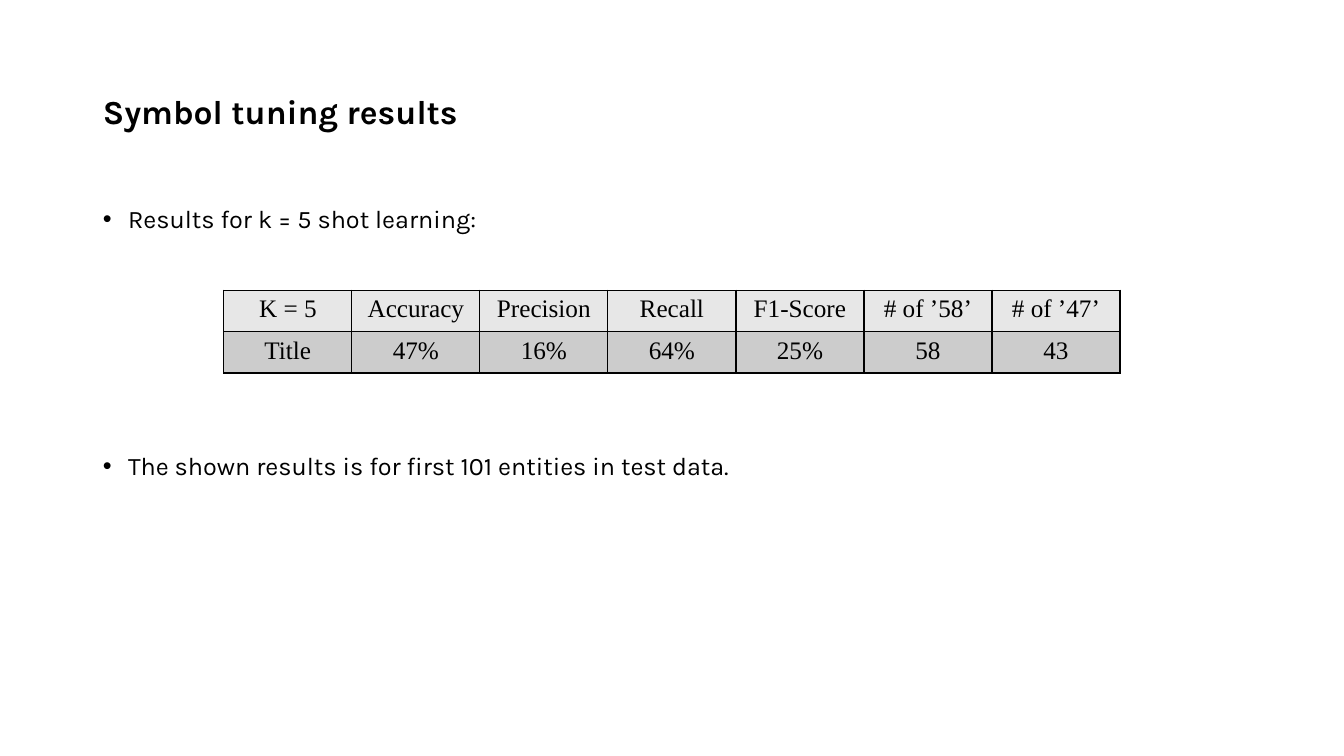
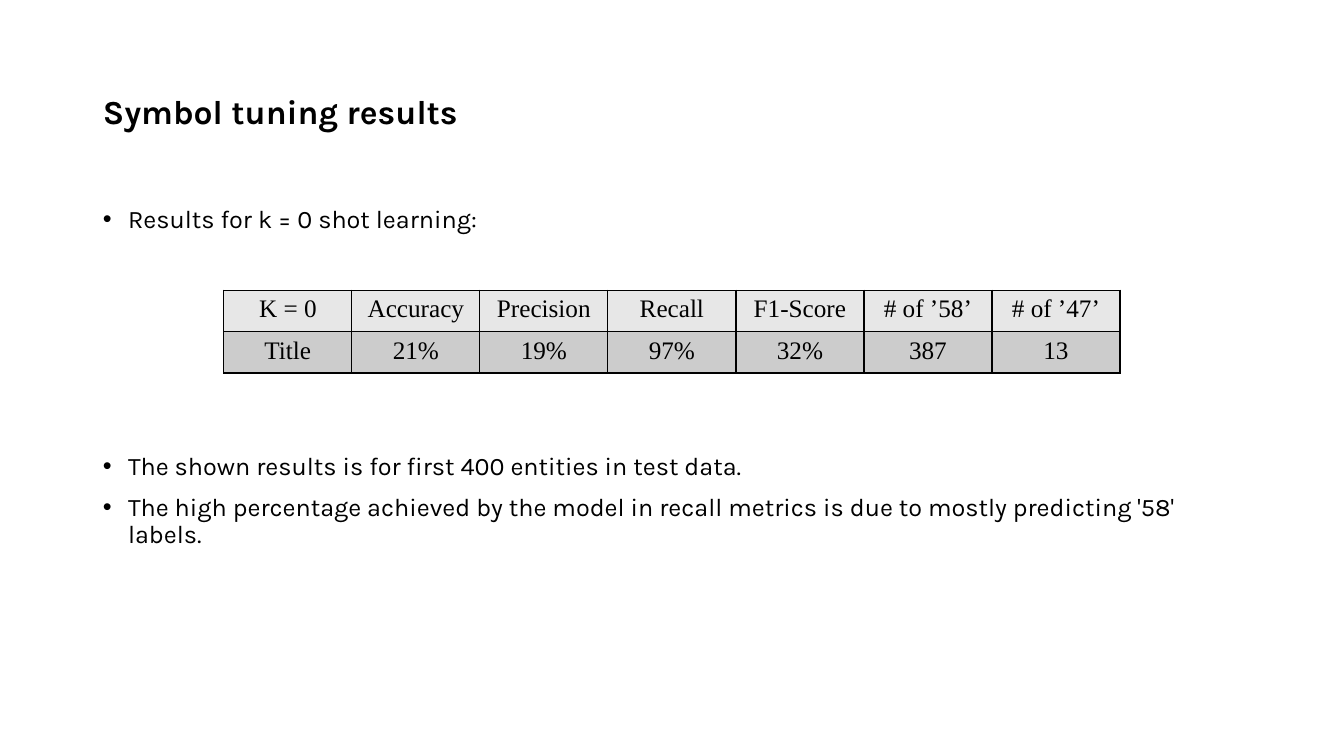
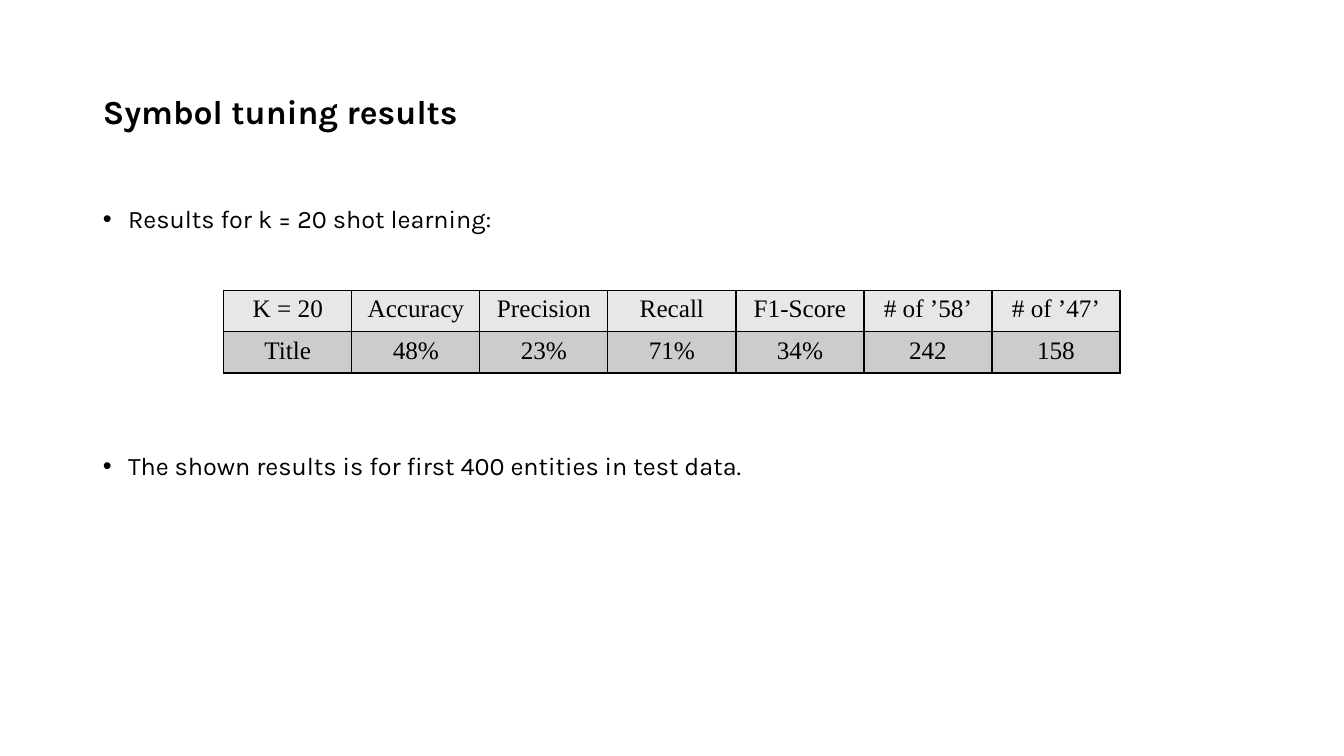
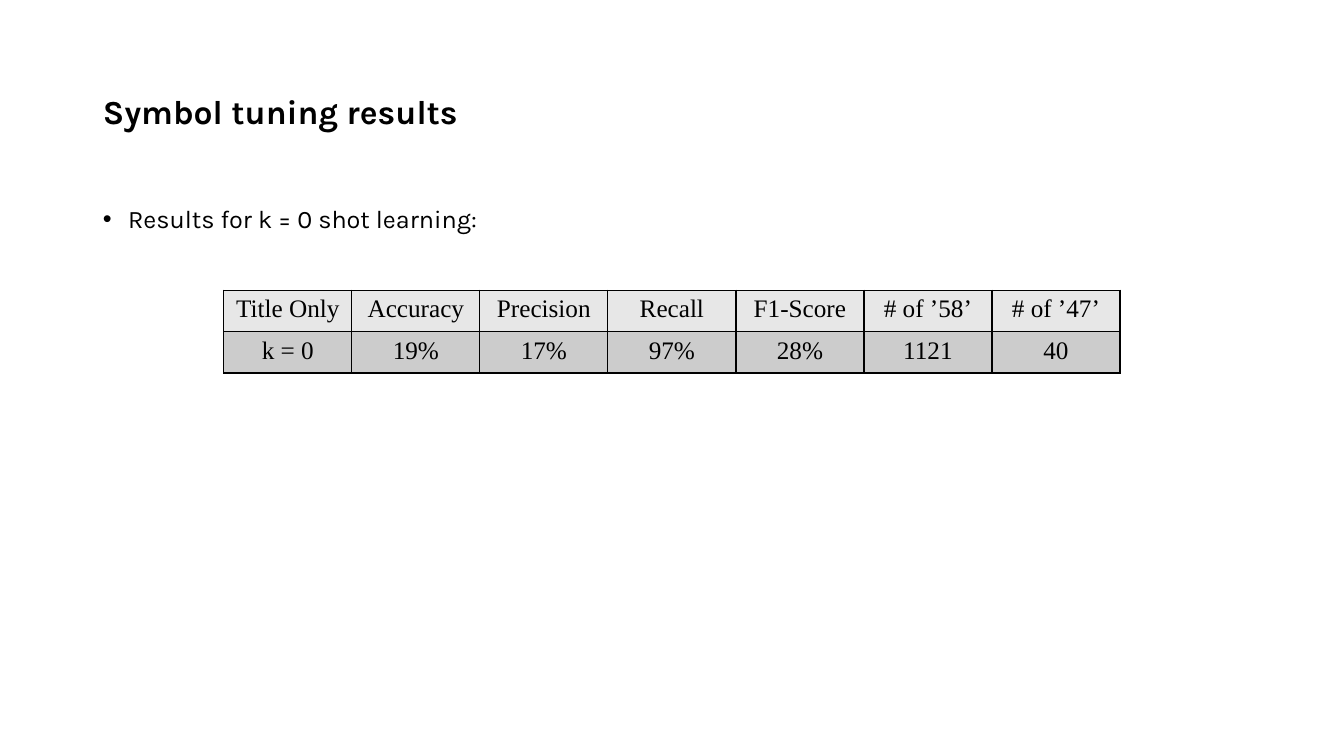
"""Build four slides with symbol tuning results."""
from pptx import Presentation
from pptx.dml.color import RGBColor
from pptx.enum.text import MSO_ANCHOR, MSO_AUTO_SIZE, PP_ALIGN
from pptx.oxml import parse_xml
from pptx.oxml.ns import nsdecls
from pptx.util import Inches, Pt

COLORS = {"ink": "000000", "head": "E7E7E7", "row": "CCCCCC"}
HEADS = ["Accuracy", "Precision", "Recall", "F1-Score", "# of ’58’", "# of ’47’"]
SLIDES = [
    (5, ["K = 5"], ["Title", "47%", "16%", "64%", "25%", "58", "43"],
     ["The shown results is for first 101 entities in test data."]),
    (0, ["K = 0"], ["Title", "21%", "19%", "97%", "32%", "387", "13"],
     ["The shown results is for first 400 entities in test data.",
      "The high percentage achieved by the model in recall metrics is due to "
      "mostly predicting '58' labels."]),
    (20, ["K = 20"], ["Title", "48%", "23%", "71%", "34%", "242", "158"],
     ["The shown results is for first 400 entities in test data."]),
    (0, ["Title Only"], ["k = 0", "19%", "17%", "97%", "28%", "1121", "40"], []),
]


def style(para, name, size, bold=False):
    font = para.font
    font.name, font.size, font.bold = name, Pt(size), bold
    font.color.rgb = RGBColor.from_string(COLORS["ink"])


def place(shape, top, height, anchor):
    shape.left, shape.top = Inches(0.92), Inches(top)
    shape.width, shape.height = Inches(11.5), Inches(height)
    frame = shape.text_frame
    frame.auto_size = MSO_AUTO_SIZE.NONE
    frame.vertical_anchor = anchor
    return frame


prs = Presentation()
prs.slide_width, prs.slide_height = Inches(13.33), Inches(7.5)

for shots, corner, values, notes in SLIDES:
    slide = prs.slides.add_slide(prs.slide_layouts[1])

    frame = place(slide.shapes.title, 0.4, 1.45, MSO_ANCHOR.MIDDLE)
    frame.text = "Symbol tuning results"
    para = frame.paragraphs[0]
    para.alignment, para.line_spacing = PP_ALIGN.LEFT, 0.9
    style(para, "Karla", 24, True)

    frame = place(slide.placeholders[1], 2, 4.76, MSO_ANCHOR.TOP)
    frame.text = "\n".join([f"Results for k = {shots} shot learning:", *notes])
    for para, gap in zip(frame.paragraphs, [0, 157, 10]):
        props = para._p.get_or_add_pPr()
        props.set("marL", str(Inches(0.25)))
        props.set("indent", str(Inches(-0.25)))
        para.line_spacing, para.space_before = 0.9, Pt(gap)
        style(para, "Karla", 18)

    rows = [corner + HEADS, values]
    table = slide.shapes.add_table(
        len(rows), len(values), Inches(2.22), Inches(2.88),
        Inches(1.27 * len(values)), Inches(0.41 * len(rows))).table
    table.first_row = table.horz_banding = False
    for r, (texts, fill) in enumerate(zip(rows, ["head", "row"])):
        for c, text in enumerate(texts):
            cell = table.cell(r, c)
            cell.text = text
            para = cell.text_frame.paragraphs[0]
            para.alignment = PP_ALIGN.CENTER
            style(para, "Times New Roman", 18)
            props = cell._tc.get_or_add_tcPr()
            for side in "LRTB":
                props.append(parse_xml(
                    f'<a:ln{side} {nsdecls("a")} w="{Pt(1)}"><a:solidFill>'
                    f'<a:srgbClr val="{COLORS["ink"]}"/></a:solidFill></a:ln{side}>'))
            cell.fill.solid()
            cell.fill.fore_color.rgb = RGBColor.from_string(COLORS[fill])

prs.save("out.pptx")
